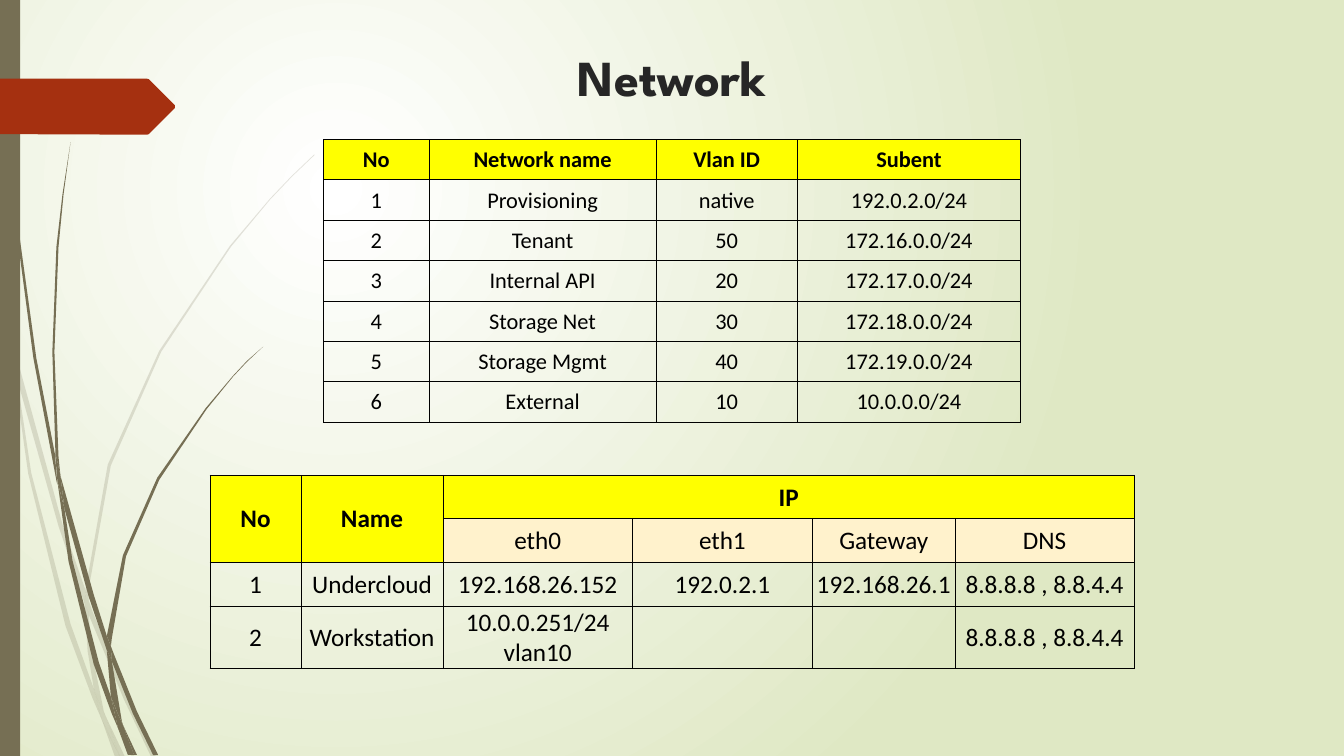
from dataclasses import dataclass

from lxml import etree
from pptx import Presentation
from pptx.dml.color import RGBColor
from pptx.enum.shapes import MSO_SHAPE
from pptx.enum.text import MSO_ANCHOR, PP_ALIGN
from pptx.oxml.ns import qn
from pptx.util import Pt

RECTANGLE = MSO_SHAPE.RECTANGLE
TOP, MIDDLE, CENTER = MSO_ANCHOR.TOP, MSO_ANCHOR.MIDDLE, PP_ALIGN.CENTER

WHITE = RGBColor(0xFF, 0xFF, 0xFF)
BLACK = RGBColor(0, 0, 0)
PALE_GREEN = RGBColor(0xDF, 0xE8, 0xC4)
OLIVE = RGBColor(0x76, 0x6F, 0x54)
RUST = RGBColor(0xA5, 0x30, 0x10)
CHARCOAL = RGBColor(0x26, 0x26, 0x26)
YELLOW = RGBColor(0xFF, 0xFF, 0)
CREAM = RGBColor(0xFF, 0xF2, 0xCC)

Outline = list[tuple[float, float]]


@dataclass
class Grass:
    opacity: int
    blades: list[Outline]


@dataclass
class Grid:
    left: float
    top: float
    widths: list[float]
    row_height: float
    size: int
    rows: list[list[str]]
    merges: list[tuple[int, int, int, int]]
    sub_header: bool = False


FAINT_GRASS = Grass(20, [
    [(7.9, 252), (6.5, 231.8), (0, 203), (0, 215.3), (7.2, 247.7)],
    [(41.8, 375.8), (60.5, 431.3), (61.2, 421.9), (44.6, 374.4), (10.1, 248.4), (12.2, 270.7)],
    [(66.2, 437), (63.4, 429.1), (63.4, 439.2), (88.6, 499.7), (108, 540.7), (111.6, 540.7),
     (91.4, 498.2)],
    [(85.7, 540.7), (89.3, 540.7), (75.6, 511.9)],
    [(67, 491.8), (50.4, 445.7), (22.3, 337.7), (12.2, 270.7), (7.9, 252), (20.2, 338.4),
     (46.8, 447.1), (66.2, 499), (72.7, 514.1), (71.3, 509)],
    [(60.5, 431.3), (62.6, 465.1), (67, 491.8), (69.1, 498.2), (75.6, 511.9), (74.2, 508.3),
     (65.5, 465.1), (63.4, 439.2), (63.4, 437.8)],
    [(63.4, 420.5), (79.2, 332.6), (115.2, 251.3), (164.9, 176.4), (193, 142.6), (208.8, 126),
     (224.6, 110.9), (224.6, 110.2), (208.1, 126), (193, 141.8), (164.2, 175.7), (113.8, 250.6),
     (77, 331.9), (61.2, 420.5), (61.2, 421.9), (63.4, 429.1)],
    [(72.7, 514.1), (82.1, 540.7), (85.7, 540.7)],
    [(63.4, 437.8), (63.4, 439.2), (63.4, 429.1), (61.2, 421.9), (60.5, 431.3)],
    [(69.1, 498.2), (67, 491.8), (71.3, 509), (72.7, 514.1), (85.7, 540.7), (75.6, 511.9)],
])

DARK_GRASS = Grass(100, [
    [(5, 79.2), (12.2, 167.8), (23.8, 255.6), (40.3, 343.4), (41, 346.3), (39.6, 329),
     (39.6, 326.2), (25.9, 255.6), (13.7, 167), (5.8, 78.5), (3.6, 34.6), (2.9, 0), (2.2, 0),
     (2.9, 34.6)],
    [(63.4, 426.2), (76.3, 464.4), (76.3, 455.8), (76.3, 454.3), (67, 424.8), (43.2, 339.8),
     (46.1, 363.6)],
    [(81.4, 467.3), (79.2, 461.5), (79.9, 472.3), (95, 509.8), (109.4, 539.3), (113, 539.3),
     (97.9, 508.3)],
    [(79.2, 497.5), (70.6, 473), (51.8, 400.3), (46.1, 363.6), (41, 343.4), (49, 401),
     (67, 474.5), (79.9, 509.8), (84.2, 519.8), (83.5, 516.2)],
    [(43.2, 339.8), (41.8, 326.2), (38.9, 251.3), (41.8, 176.4), (45.4, 139), (50.4, 101.5),
     (44.6, 139), (40.3, 176.4), (37.4, 251.3), (39.6, 323.3)],
    [(95.8, 539.3), (97.9, 539.3), (87.8, 517.7)],
    [(41, 343.4), (46.1, 363.6), (43.2, 339.8), (39.6, 323.3), (39.6, 326.2)],
    [(79.9, 455.8), (90, 397.4), (113.8, 342.7), (147.6, 292.3), (166.3, 269.3), (176.4, 258.5),
     (187.9, 247.7), (176.4, 257.8), (166.3, 268.6), (146.9, 291.6), (112.3, 341.3),
     (87.8, 396.7), (76.3, 454.3), (79.2, 461.5)],
    [(84.2, 519.8), (91.4, 539.3), (94.3, 539.3)],
    [(76.3, 464.4), (79.2, 497.5), (83.5, 508.3), (87.8, 517.7), (87.1, 515.5), (79.9, 472.3),
     (78.5, 468.7)],
    [(76.3, 464.4), (78.5, 468.7), (79.9, 472.3), (79.2, 461.5), (76.3, 454.3), (76.3, 455.8)],
    [(83.5, 508.3), (79.2, 497.5), (83.5, 516.2), (84.2, 519.8), (93.6, 539.3), (95.8, 539.3),
     (87.8, 517.7)],
])

RIBBON = [(125, 77), (106.4, 95.8), (105, 96.2), (0, 95.8), (0, 56.2), (105, 56.2),
          (106.4, 56.6), (125, 75.2)]

NETWORKS = Grid(231, 99.6, [75.6, 162, 101, 159.4], 28.85, 16, [
    ["No", "Network name", "Vlan ID", "Subent"],
    ["1", "Provisioning", "native", "192.0.2.0/24"],
    ["2", "Tenant", "50", "172.16.0.0/24"],
    ["3", "Internal API", "20", "172.17.0.0/24"],
    ["4", "Storage Net", "30", "172.18.0.0/24"],
    ["5", "Storage Mgmt", "40", "172.19.0.0/24"],
    ["6", "External", "10", "10.0.0.0/24"],
], [])

ADDRESSES = Grid(150, 339.4, [65, 101.5, 135.2, 128.7, 101.8, 128], 31.2, 18, [
    ["No", "Name", "IP", "", "", ""],
    ["", "", "eth0", "eth1", "Gateway", "DNS"],
    ["1", "Undercloud", "192.168.26.152", "192.0.2.1", "192.168.26.1", "8.8.8.8 , 8.8.4.4"],
    ["2", "Workstation", "10.0.0.251/24 vlan10", "", "", "8.8.8.8 , 8.8.4.4"],
], [(0, 0, 1, 0), (0, 1, 1, 1), (0, 2, 0, 5)], True)


def paint(sp, color: RGBColor, opacity: int = 100) -> None:
    sp.shadow.inherit = False
    sp.fill.solid()
    sp.fill.fore_color.rgb = color
    sp.line.fill.background()
    if opacity < 100:
        srgb = sp.element.spPr.find(".//" + qn("a:srgbClr"))
        etree.SubElement(srgb, qn("a:alpha"), val=str(opacity * 1000))


def add_outline(s, outline: Outline, color: RGBColor, opacity: int = 100) -> None:
    points = [(Pt(x), Pt(y)) for x, y in outline]
    builder = s.shapes.build_freeform(*points[0])
    builder.add_line_segments(points[1:], close=True)
    paint(builder.convert_to_shape(), color, opacity)


def add_borders(cell) -> None:
    tc_pr = cell._tc.get_or_add_tcPr()
    for i, side in enumerate(("a:lnL", "a:lnR", "a:lnT", "a:lnB")):
        ln = etree.Element(qn(side), w=str(Pt(0.5)))
        fill = etree.SubElement(ln, qn("a:solidFill"))
        etree.SubElement(fill, qn("a:srgbClr"), val=str(BLACK))
        tc_pr.insert(i, ln)


def format_cell(cell, text: str, size: int, bold: bool, color: RGBColor | None) -> None:
    cell.vertical_anchor = MIDDLE
    cell.margin_left = cell.margin_right = cell.margin_top = Pt(0.7)
    cell.margin_bottom = Pt(0)
    if color is None:
        cell.fill.background()
    else:
        cell.fill.solid()
        cell.fill.fore_color.rgb = color
    add_borders(cell)
    p = cell.text_frame.paragraphs[0]
    p.text = text
    p.alignment = CENTER
    for r in p.runs:
        r.font.name, r.font.size, r.font.bold = "Calibri", Pt(size), bold
        r.font.color.rgb = BLACK


def add_grid(s, grid: Grid) -> None:
    count = len(grid.rows)
    table = s.shapes.add_table(count, len(grid.widths), Pt(grid.left), Pt(grid.top),
                               Pt(sum(grid.widths)), Pt(count * grid.row_height)).table
    table.first_row = table.horz_banding = False
    for column, width in zip(table.columns, grid.widths):
        column.width = Pt(width)
    for i, texts in enumerate(grid.rows):
        table.rows[i].height = Pt(grid.row_height)
        for j, text in enumerate(texts):
            color = YELLOW if i == 0 else CREAM if i == 1 and grid.sub_header else None
            format_cell(table.cell(i, j), text, grid.size, i == 0, color)
    for top, left, bottom, right in grid.merges:
        table.cell(top, left).merge(table.cell(bottom, right))


prs = Presentation()
prs.slide_width, prs.slide_height = Pt(960), Pt(540)
s = prs.slides.add_slide(prs.slide_layouts[5])

background = s.background.fill
background.gradient()
for stop, color in zip(background.gradient_stops, (WHITE, PALE_GREEN)):
    stop.color.rgb = color
lin = s.element.find(".//" + qn("a:lin"))
circle = etree.Element(qn("a:path"), path="circle")
etree.SubElement(circle, qn("a:fillToRect"), l="50000", t="50000", r="100000", b="100000")
lin.getparent().replace(lin, circle)

for grass in (FAINT_GRASS, DARK_GRASS):
    for blade in grass.blades:
        add_outline(s, blade, OLIVE, grass.opacity)
paint(s.shapes.add_shape(RECTANGLE, Pt(0), Pt(0), Pt(14.4), Pt(540)), OLIVE)
add_outline(s, RIBBON, RUST)

title = s.shapes.title
title.left, title.top, title.width, title.height = Pt(66), Pt(29), Pt(828), Pt(69)
tf = title.text_frame
tf.text = "Network"
tf.vertical_anchor = TOP
p = tf.paragraphs[0]
p.alignment = CENTER
r = p.runs[0]
r.font.name, r.font.size, r.font.bold = "League Spartan", Pt(36), True
r.font.color.rgb = CHARCOAL

for grid in (NETWORKS, ADDRESSES):
    add_grid(s, grid)
prs.save("out.pptx")
